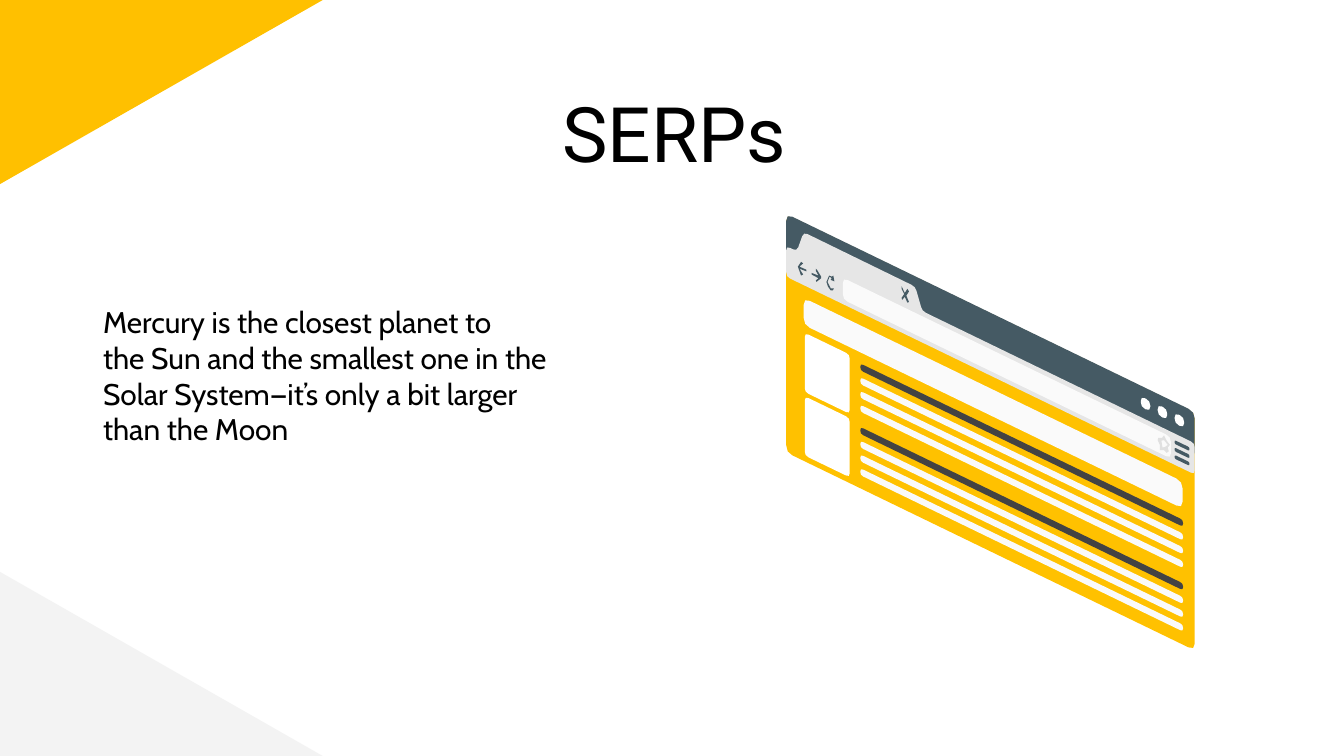
"""Build the SERPs slide with a slanted browser window."""
from math import dist

from pptx import Presentation
from pptx.dml.color import RGBColor
from pptx.enum.shapes import MSO_SHAPE
from pptx.enum.text import MSO_ANCHOR, PP_ALIGN
from pptx.util import Cm, Pt

AMBER = RGBColor(0xFF, 0xC0, 0x00)
PALE = RGBColor(0xF3, 0xF3, 0xF3)
BLACK = RGBColor(0, 0, 0)
PAGE = RGBColor(0xFF, 0xC1, 0x00)
WHITE = RGBColor(0xFF, 0xFF, 0xFF)
OFF_WHITE = RGBColor(0xFA, 0xFA, 0xFA)
CHARCOAL = RGBColor(0x43, 0x43, 0x43)
SLATE = RGBColor(0x45, 0x5A, 0x64)
SILVER = RGBColor(0xE6, 0xE6, 0xE6)
STAR_GREY = RGBColor(0xE0, 0xE0, 0xE0)

WIDTH, HEIGHT = 25.4, 14.29
SLOPE = 0.485

TEXTS = [
    {"box": (1.7, 5.49, 9.07, 5.38), "align": PP_ALIGN.LEFT,
     "lines": ["Mercury is the closest planet to",
               "the Sun and the smallest one in the Solar System—it’s only "
               "a bit larger than the Moon"],
     "font": {"name": "Cabin", "size": Pt(16)}},
    {"box": (1.5, 1.37, 22.5, 1.6), "align": PP_ALIGN.CENTER,
     "lines": ["SERPs"],
     "font": {"name": "Roboto", "size": Pt(41)}},
]
CORNERS = [(0, 180, AMBER), (HEIGHT - 3.48, 0, PALE)]

WINDOW = (14.86, 4.05, 7.72, 4.5, 0.13)
TITLE_BAR = (14.86, 4.04, 7.72, 0.89, 0.13)
SEARCH_BOX = (15.19, 5.63, 7.16, 0.51, 0.13)
ADDRESS_BAR = (15.93, 5.25, 6.2, 0.41, 0.1)
THUMBNAIL = (15.21, 6.29, 0.85, 1.12, 0.08)
RESULT_LINE = (16.26, 6.87, 6.1, 0.13, 0.06)
MENU_BAR = (22.2, 8.32, 0.28, 0.07, 0.03)
WINDOW_DOT = (21.56, 7.49, 0.18, 0.2, 0.09)
RESULT_STEP, LINE_STEP, MENU_STEP, DOT_STEP = 1.2, 0.26, 0.14, 0.32
LINE_COLORS = [CHARCOAL, OFF_WHITE, OFF_WHITE, OFF_WHITE]

TOOLBAR = [(14.86, 4.65), (15.06, 4.75), (15.19, 4.39), (17.3, 5.42),
           (17.43, 5.88), (22.58, 8.38), (22.58, 8.97), (14.86, 5.23)]
BACK = [(15.14, 4.95), (15.08, 5.04), (15.14, 5.21), (15.18, 5.19),
        (15.11, 5.08), (15.24, 5.13), (15.24, 5.1), (15.11, 5.04), (15.18, 4.98)]
FORWARD = [(15.42, 5.08), (15.42, 5.12), (15.47, 5.21), (15.34, 5.16),
           (15.34, 5.19), (15.47, 5.26), (15.42, 5.3), (15.43, 5.33),
           (15.52, 5.26), (15.52, 5.23), (15.44, 5.1)]
RELOAD = [(15.67, 5.21), (15.62, 5.33), (15.65, 5.42), (15.7, 5.49),
          (15.74, 5.49), (15.76, 5.45), (15.7, 5.45), (15.64, 5.33),
          (15.68, 5.23), (15.72, 5.26), (15.7, 5.29), (15.77, 5.32),
          (15.75, 5.21), (15.72, 5.23)]
CLOSE = [(17.04, 5.41), (17.04, 5.46), (17.09, 5.56), (17.04, 5.63),
         (17.05, 5.67), (17.1, 5.61), (17.15, 5.72), (17.18, 5.71),
         (17.13, 5.59), (17.18, 5.51), (17.15, 5.46), (17.1, 5.54)]
STAR = [(22, 8.23), (21.96, 8.28), (21.89, 8.28), (21.88, 8.32),
        (21.92, 8.41), (21.92, 8.51), (22, 8.51), (22.05, 8.56),
        (22.09, 8.53), (22.07, 8.46), (22.11, 8.41), (22.05, 8.33)]
STAR_HOLE = [(22, 8.32), (22.07, 8.41), (22.02, 8.45), (21.97, 8.46), (21.95, 8.33)]


def paint(sp, color):
    sp.shadow.inherit = False
    sp.fill.solid()
    sp.fill.fore_color.rgb = color
    sp.line.fill.background()


def toward(a, b, radius):
    t = min(radius / dist(a, b), 0.5)
    return tuple(m + (n - m) * t for m, n in zip(a, b))


def rounded(points, radius):
    outline = []
    for i, corner in enumerate(points):
        start = toward(corner, points[i - 1], radius)
        end = toward(corner, points[(i + 1) % len(points)], radius)
        middle = tuple((a + 2 * b + c) / 4 for a, b, c in zip(start, corner, end))
        outline += [start, middle, end]
    return outline


def add_outline(shapes, color, *contours):
    first, *others = [[(Cm(x), Cm(y)) for x, y in c] for c in contours]
    fb = shapes.build_freeform(*first[0])
    fb.add_line_segments(first[1:])
    for contour in others:
        fb.move_to(*contour[0])
        fb.add_line_segments(contour[1:])
    paint(fb.convert_to_shape(), color)


def add_panel(shapes, color, panel, dx=0, dy=0):
    x, y, w, h, radius = panel
    x, y = x + dx, y + dy + SLOPE * dx
    drop = SLOPE * w
    points = [(x, y), (x + w, y + drop), (x + w, y + drop + h), (x, y + h)]
    add_outline(shapes, color, rounded(points, radius))


def add_text(s, item):
    tf = s.shapes.add_textbox(*map(Cm, item["box"])).text_frame
    frame = {"word_wrap": True, "vertical_anchor": MSO_ANCHOR.TOP}
    frame.update({f"margin_{side}": Cm(0.25)
                  for side in ("left", "right", "top", "bottom")})
    for name, value in frame.items():
        setattr(tf, name, value)
    for i, line in enumerate(item["lines"]):
        p = tf.add_paragraph() if i else tf.paragraphs[0]
        p.alignment = item["align"]
        r = p.add_run()
        r.text = line
        for name, value in item["font"].items():
            setattr(r.font, name, value)
        r.font.color.rgb = BLACK


def add_browser(shapes):
    add_panel(shapes, PAGE, WINDOW)
    add_panel(shapes, OFF_WHITE, SEARCH_BOX)
    for result in range(2):
        top = result * RESULT_STEP
        add_panel(shapes, WHITE, THUMBNAIL, dy=top)
        for i, color in enumerate(LINE_COLORS):
            add_panel(shapes, color, RESULT_LINE, dy=top + i * LINE_STEP)
    add_panel(shapes, SLATE, TITLE_BAR)
    add_outline(shapes, SILVER, rounded(TOOLBAR, 0.08))
    add_panel(shapes, OFF_WHITE, ADDRESS_BAR)
    for i in range(3):
        add_panel(shapes, WHITE, WINDOW_DOT, dx=i * DOT_STEP)
        add_panel(shapes, SLATE, MENU_BAR, dy=i * MENU_STEP)
    for icon in (BACK, FORWARD, RELOAD, CLOSE):
        add_outline(shapes, SLATE, icon)
    add_outline(shapes, STAR_GREY, STAR, STAR_HOLE)


def main():
    prs = Presentation()
    prs.slide_width, prs.slide_height = Cm(WIDTH), Cm(HEIGHT)
    s = prs.slides.add_slide(prs.slide_layouts[6])
    for top, angle, color in CORNERS:
        sp = s.shapes.add_shape(MSO_SHAPE.RIGHT_TRIANGLE,
                                Cm(0), Cm(top), Cm(6.1), Cm(3.48))
        paint(sp, color)
        if angle:
            sp.rotation = angle
            sp._element.spPr.xfrm.set("flipH", "1")
    for item in TEXTS:
        add_text(s, item)
    add_browser(s.shapes.add_group_shape().shapes)
    prs.save("out.pptx")


if __name__ == "__main__":
    main()
